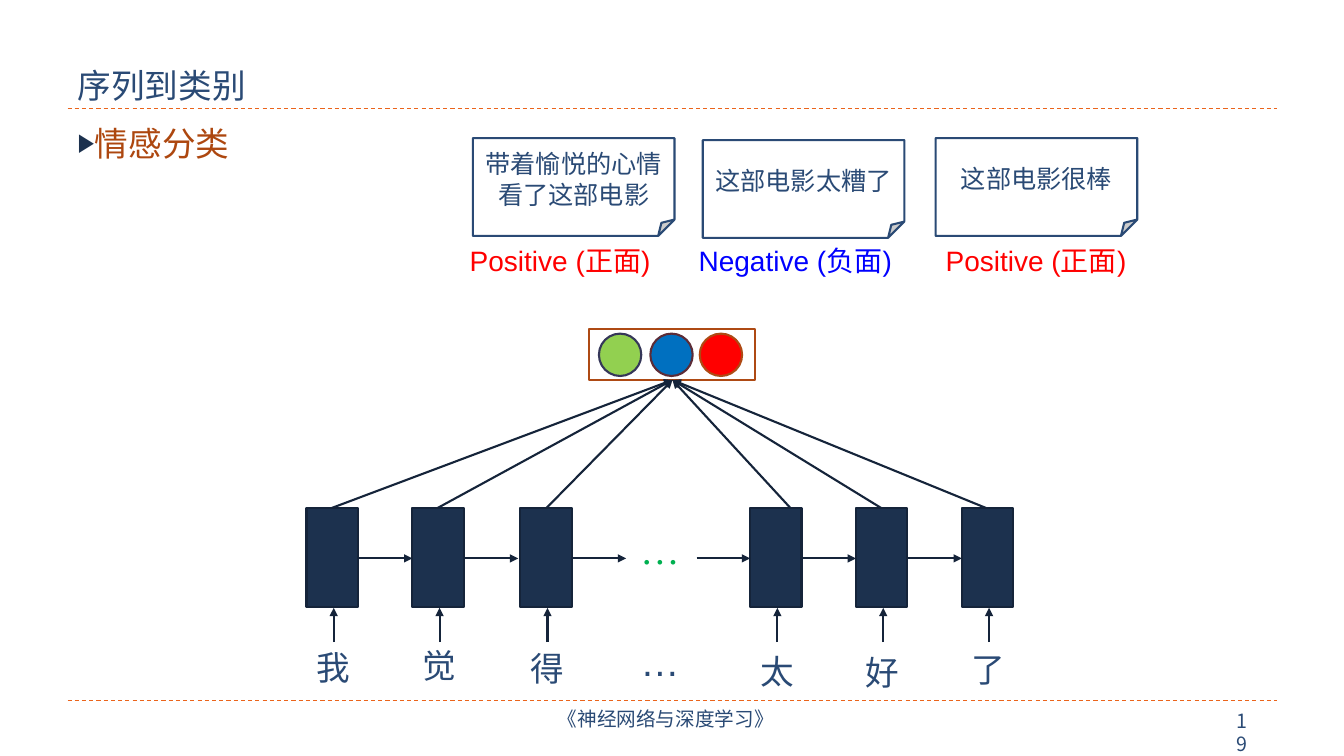
from dataclasses import dataclass

from lxml.etree import SubElement
from pptx import Presentation
from pptx.dml.color import RGBColor
from pptx.enum.dml import MSO_LINE_DASH_STYLE as Dash
from pptx.enum.lang import MSO_LANGUAGE_ID as Language
from pptx.enum.shapes import MSO_CONNECTOR_TYPE as Connector, MSO_SHAPE as Shape
from pptx.enum.text import MSO_ANCHOR as Anchor, MSO_AUTO_SIZE as AutoSize, PP_ALIGN as Align
from pptx.oxml.ns import qn
from pptx.util import Inches, Pt


@dataclass(frozen=True)
class Theme:
    navy: str = "2A4A75"
    cell: str = "1C314E"
    arrow: str = "15243A"
    rule: str = "EB641B"
    heading: str = "AD470F"
    frame: str = "AE4A14"
    white: str = "FFFFFF"
    red: str = "FF0000"
    blue: str = "0000FF"
    green: str = "00B050"
    sans: str = "Arial"
    serif: str = "Times New Roman"
    chinese: str = "Noto Sans CJK SC"
    small: int = 14
    review: int = 18
    label: int = 20
    main: int = 24
    dots: int = 28


@dataclass(frozen=True)
class Step:
    word: str
    left: float
    word_top: float
    fan_left: float


@dataclass(frozen=True)
class Review:
    text: str
    left: float
    top: float
    label: str
    label_left: float
    color: str


@dataclass(frozen=True)
class Output:
    left: float
    fill: str
    line: str


theme = Theme()
CELL_TOP, CELL_WIDTH, CELL_HEIGHT = 5.04, 0.51, 0.98
FLOW_TOP = 5.54
FAN_TIP = (6.67, 3.77)

STEPS = [
    Step("我", 3.04, 6.37, 3.29),
    Step("觉", 4.09, 6.35, 4.34),
    Step("得", 5.16, 6.38, 5.42),
    Step("太", 7.44, 6.41, 7.84),
    Step("好", 8.49, 6.42, 8.74),
    Step("了", 9.54, 6.39, 9.78),
]
REVIEWS = [
    Review("带着愉悦的心情看了这部电影", 4.69, 1.37, "Positive (正面)", 4.56, theme.red),
    Review("这部电影太糟了", 6.97, 1.39, "Negative (负面)", 6.83, theme.blue),
    Review("这部电影很棒", 9.28, 1.37, "Positive (正面)", 9.28, theme.red),
]
OUTPUTS = [
    Output(5.94, "92D050", "353759"),
    Output(6.45, "0070C0", "5C2C37"),
    Output(6.94, theme.red, theme.frame),
]


def rgb(color: str) -> RGBColor:
    return RGBColor.from_string(color)


def write(frame, text: str, *, size: int, color: str = theme.navy, font: str = theme.sans,
          align: Align = Align.LEFT, anchor: Anchor = Anchor.TOP):
    frame.word_wrap = True
    frame.auto_size = AutoSize.NONE
    frame.vertical_anchor = anchor
    para = frame.paragraphs[0]
    para.alignment = align
    para.space_before = Pt(0)
    span = para.add_run()
    span.text = text
    span.font.size = Pt(size)
    span.font.color.rgb = rgb(color)
    span.font.name = font
    span.font.language_id = Language.SIMPLIFIED_CHINESE
    span.font._element.find(qn("a:latin")).addnext(
        span.font._element.makeelement(qn("a:ea"), {"typeface": theme.chinese}))
    return para


def place(box, left: float, top: float, width: float, height: float) -> None:
    box.left, box.top = Inches(left), Inches(top)
    box.width, box.height = Inches(width), Inches(height)


def add_text(page, text: str, left: float, top: float, width: float, height: float, **style):
    box = page.shapes.add_textbox(Inches(left), Inches(top), Inches(width), Inches(height))
    write(box.text_frame, text, **style)
    return box


def add_box(page, kind: Shape, left: float, top: float, width: float, height: float,
            *, line: str, fill: str | None = None):
    box = page.shapes.add_shape(kind, Inches(left), Inches(top), Inches(width), Inches(height))
    box.shadow.inherit = False
    if fill is None:
        box.fill.background()
    else:
        box.fill.solid()
        box.fill.fore_color.rgb = rgb(fill)
    box.line.color.rgb = rgb(line)
    box.line.width = Pt(1.5)
    return box


def add_line(page, start: tuple[float, float], end: tuple[float, float], *,
             color: str = theme.arrow, width: float = 1.5):
    line = page.shapes.add_connector(
        Connector.STRAIGHT, *(Inches(value) for value in (*start, *end)))
    line.line.color.rgb = rgb(color)
    line.line.width = Pt(width)
    SubElement(line._element.spPr, qn("a:effectLst"))
    return line


def add_arrow(page, start: tuple[float, float], end: tuple[float, float]) -> None:
    line = add_line(page, start, end)
    SubElement(line.line._get_or_add_ln(), qn("a:tailEnd"), type="triangle")


def add_bullet(para) -> None:
    properties = para._p.get_or_add_pPr()
    properties.set("marL", str(Inches(0.17)))
    properties.set("indent", str(-Inches(0.17)))
    color = SubElement(properties, qn("a:buClr"))
    SubElement(color, qn("a:srgbClr"), val=theme.cell)
    SubElement(properties, qn("a:buSzPct"), val="76000")
    SubElement(properties, qn("a:buFont"), typeface=theme.sans)
    SubElement(properties, qn("a:buChar"), char="▶")


def draw_frame(page) -> None:
    for top in (1.08, 6.95):
        rule = add_line(page, (0.67, top), (12.67, top), color=theme.rule, width=0.75)
        rule.line.dash_style = Dash.DASH
    add_text(page, "《神经网络与深度学习》", 4.44, 6.96, 4.33, 0.4,
             size=theme.small, font=theme.chinese, align=Align.CENTER)
    add_text(page, "19", 12.17, 6.98, 0.41, 0.34, size=theme.small, font=theme.chinese)
    title, body = page.placeholders
    place(title, 0.67, 0.17, 12, 0.92)
    write(title.text_frame, "序列到类别", size=theme.main, anchor=Anchor.BOTTOM)
    place(body, 0.67, 1.17, 12, 5.54)
    add_bullet(write(body.text_frame, "情感分类", size=theme.main,
                     color=theme.heading, font=theme.serif))


def draw_reviews(page) -> None:
    for review in REVIEWS:
        note = add_box(page, Shape.FOLDED_CORNER, review.left, review.top, 2, 0.97,
                       line=theme.navy, fill=theme.white)
        write(note.text_frame, review.text, size=theme.review, font=theme.serif,
              align=Align.CENTER, anchor=Anchor.MIDDLE)
        add_text(page, review.label, review.label_left, 2.37, 2.35, 0.44,
                 size=theme.label, color=review.color)


def draw_network(page) -> None:
    add_box(page, Shape.RECTANGLE, 5.84, 3.26, 1.65, 0.51, line=theme.frame)
    for output in OUTPUTS:
        add_box(page, Shape.OVAL, output.left, 3.31, 0.42, 0.42,
                line=output.line, fill=output.fill)
    for step in STEPS:
        add_box(page, Shape.RECTANGLE, step.left, CELL_TOP, CELL_WIDTH, CELL_HEIGHT,
                line=theme.arrow, fill=theme.cell)
        add_text(page, step.word, step.left, step.word_top, 0.54, 0.5, size=theme.main)
        middle = step.left + 0.27
        add_arrow(page, (middle, 6.37), (middle, 6.03))
        add_arrow(page, (step.fan_left, CELL_TOP), FAN_TIP)
    for left in [6.39] + [step.left for step in STEPS[:-1]]:
        add_arrow(page, (left + 0.52, FLOW_TOP), (left + 1.05, FLOW_TOP))
    for top, color, font in ((5.16, theme.green, theme.serif), (6.27, theme.navy, theme.sans)):
        add_text(page, "…", 5.94, top, 1.21, 0.57, size=theme.dots, color=color,
                 font=font, align=Align.CENTER)


def main() -> None:
    deck = Presentation()
    deck.slide_width, deck.slide_height = Inches(13.33), Inches(7.5)
    page = deck.slides.add_slide(deck.slide_layouts[1])
    draw_frame(page)
    draw_reviews(page)
    draw_network(page)
    deck.save("out.pptx")


if __name__ == "__main__":
    main()
